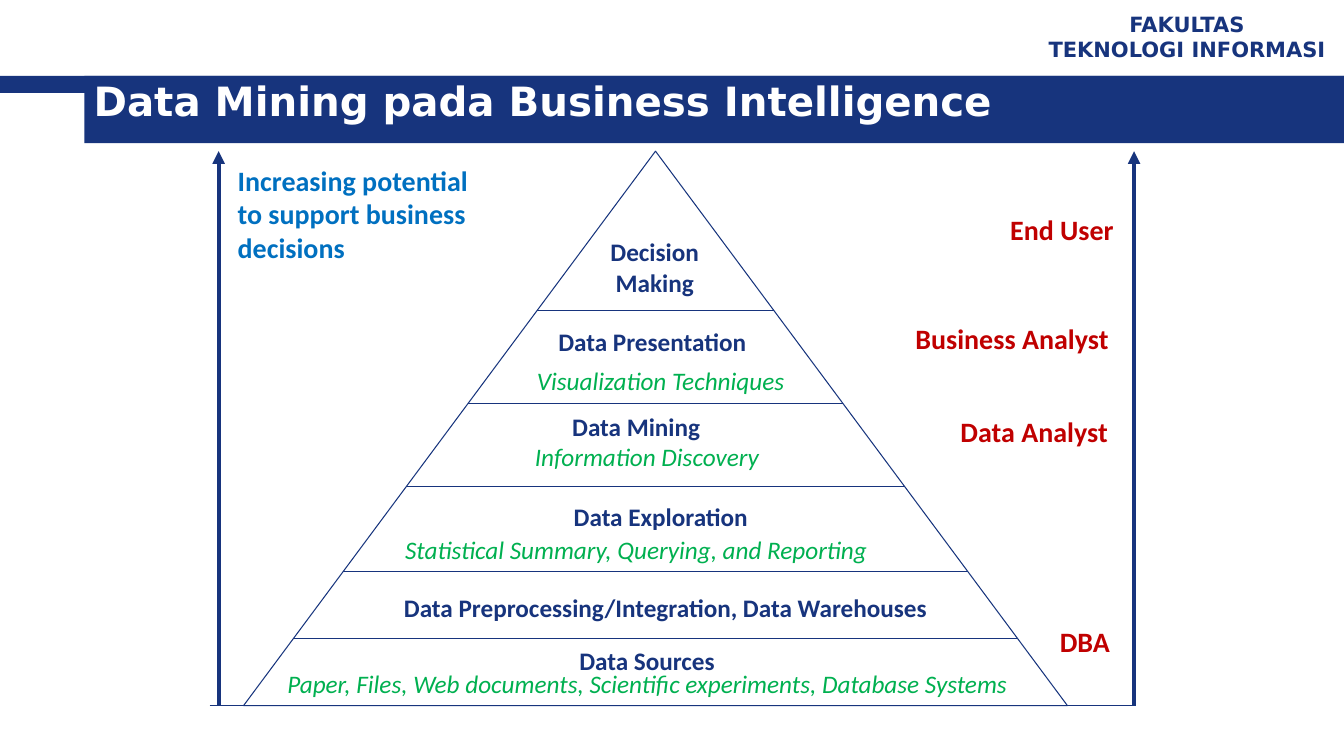
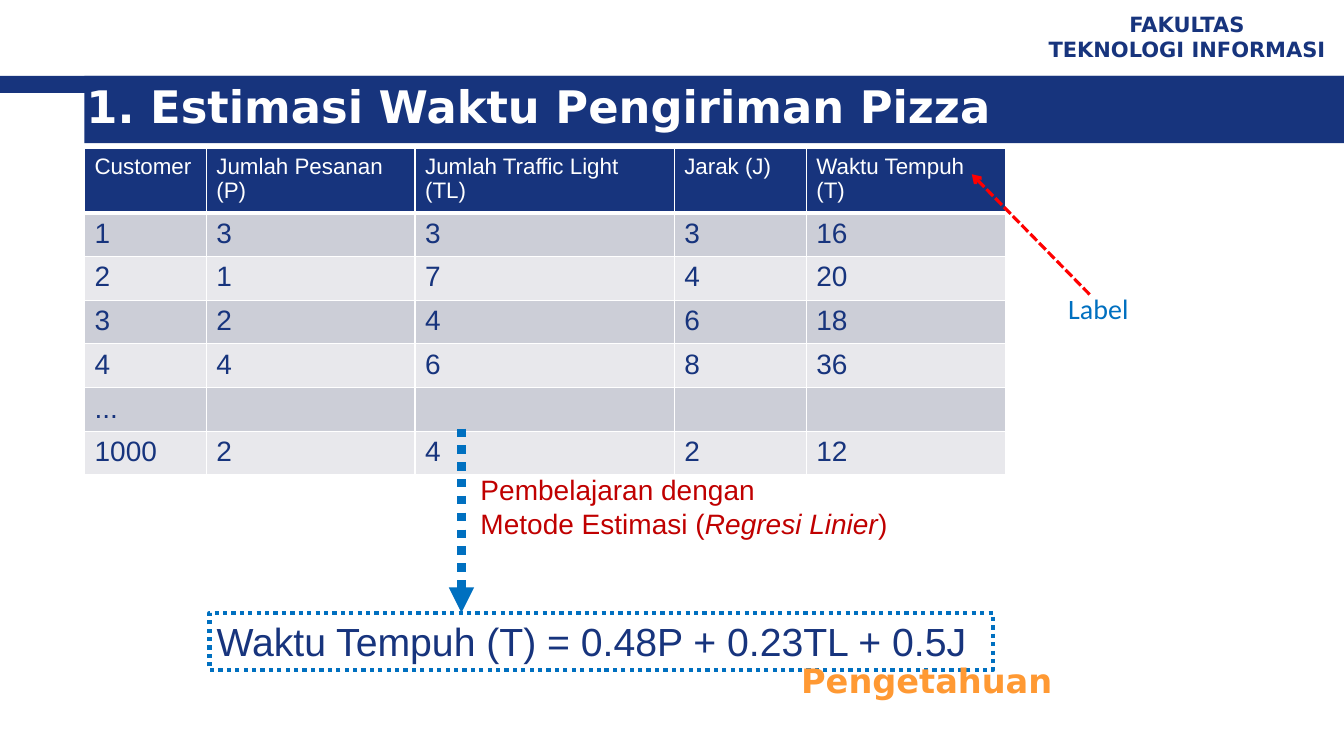
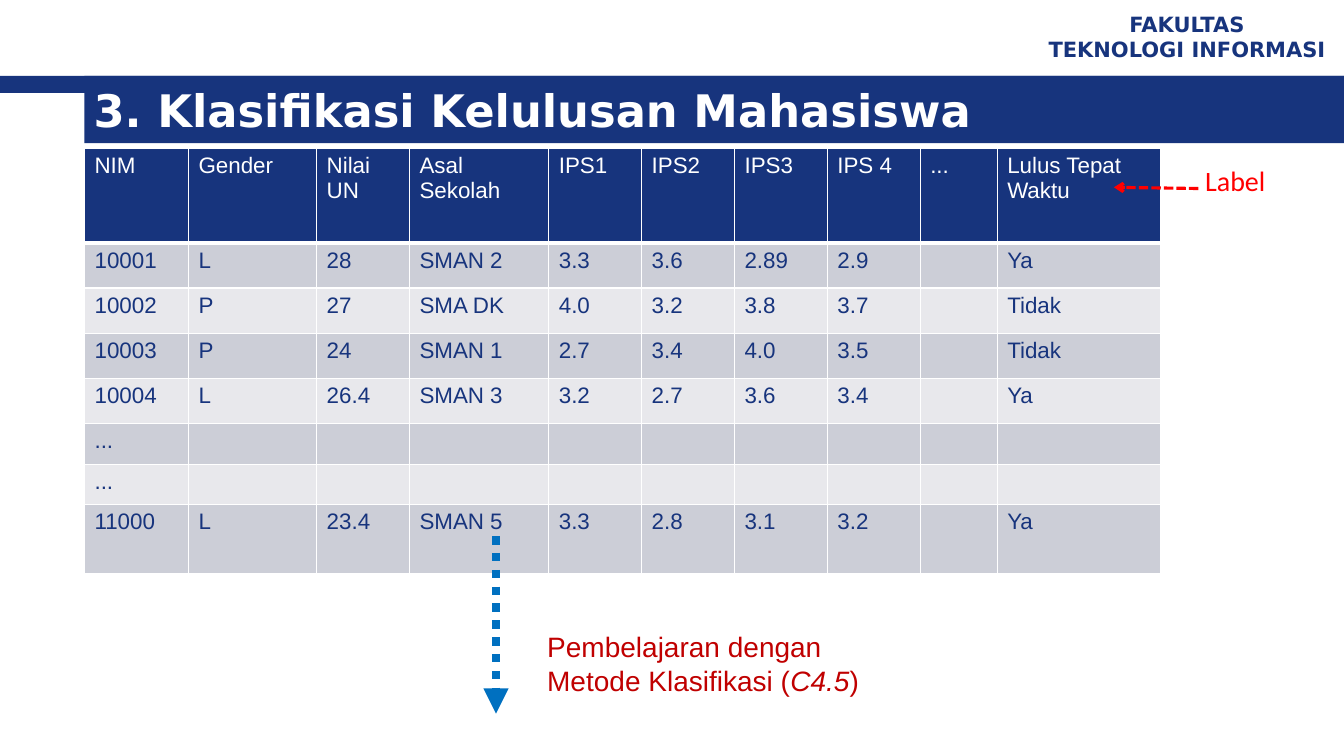
from lxml import etree
from pptx import Presentation
from pptx.dml.color import RGBColor
from pptx.enum.dml import MSO_LINE
from pptx.enum.shapes import MSO_CONNECTOR, MSO_SHAPE
from pptx.enum.text import MSO_ANCHOR, PP_ALIGN
from pptx.oxml.ns import qn
from pptx.util import Cm, Pt

RECT, PEAK = MSO_SHAPE.RECTANGLE, MSO_SHAPE.FLOWCHART_EXTRACT
LINE = MSO_CONNECTOR.STRAIGHT
DOT, DASH = MSO_LINE.ROUND_DOT, MSO_LINE.SQUARE_DOT
LEFT, MID, RIGHT = PP_ALIGN.LEFT, PP_ALIGN.CENTER, PP_ALIGN.RIGHT
TOP, CORE = MSO_ANCHOR.TOP, MSO_ANCHOR.MIDDLE

NAVY, BLUE, RED, GREEN = "17347D", "0070C0", "C00000", "00B050"
WHITE, ALERT, GOLD = "FFFFFF", "FF0000", "FF9933"
BANDS = "CCCED7", "E8E8EC"

# Text styles
HEAD = dict(name="DejaVu Sans", size=Pt(32), bold=True, color=WHITE)
LOGO = HEAD | dict(size=Pt(15), color=NAVY)
GAIN = HEAD | dict(size=Pt(24), color=GOLD)
ROLE = dict(name="Calibri", size=Pt(20), bold=True, color=RED)
AIM = ROLE | dict(color=BLUE)
STAGE = ROLE | dict(size=Pt(18), color=NAVY)
MEANS = STAGE | dict(bold=False, italic=True, color=GREEN)
TAG = ROLE | dict(bold=False, color=BLUE)
NOTE = dict(name="Arial", size=Pt(20), color=RED)
SUM = NOTE | dict(size=Pt(28), color=NAVY)
CELL = NOTE | dict(color=NAVY)
TOPROW = CELL | dict(size=Pt(16), color=WHITE)


def rgb(code):
    return RGBColor.from_string(code)


class Deck:
    def __init__(self):
        self.prs = Presentation()
        self.prs.slide_width, self.prs.slide_height = Cm(33.87), Cm(19.05)
        self.slide = None

    def new(self, title, box, **form):
        """Start a slide with the shared bands, faculty name and title."""
        self.slide = self.prs.slides.add_slide(self.prs.slide_layouts[6])
        self.shape(RECT, (0, 1.91, 33.87, 0.43), fill=NAVY)
        self.shape(RECT, (2.13, 1.91, 31.74, 1.7), fill=NAVY)
        self.text((25.98, 0.13, 7.87, 1.57),
                  ["FAKULTAS", "TEKNOLOGI INFORMASI"], LOGO, MID, CORE)
        self.text(box, [title], HEAD | form, LEFT, CORE)

    def run(self, para, text, form):
        run = para.add_run()
        run.text = text
        for key, val in form.items():
            if key == "color":
                run.font.color.rgb = rgb(val)
            else:
                setattr(run.font, key, val)

    def text(self, box, paras, form, align=LEFT, anchor=TOP):
        """Each paragraph is a string or a list of (text, italic) runs."""
        frame = self.slide.shapes.add_textbox(*map(Cm, box)).text_frame
        frame.word_wrap = True
        frame.vertical_anchor = anchor
        for i, runs in enumerate(paras):
            para = frame.add_paragraph() if i else frame.paragraphs[0]
            para.alignment = align
            if isinstance(runs, str):
                self.run(para, runs, form)
            else:
                for part, slant in runs:
                    self.run(para, part, form | dict(italic=slant))

    def shape(self, kind, box, fill=None, line=None, width=0.75, dash=None):
        item = self.slide.shapes.add_shape(kind, *map(Cm, box))
        item.shadow.inherit = False
        if fill:
            item.fill.solid()
            item.fill.fore_color.rgb = rgb(fill)
        else:
            item.fill.background()
        if line:
            self.pen(item.line, line, width, dash)
        else:
            item.line.fill.background()

    def pen(self, line, color, width, dash):
        line.color.rgb = rgb(color)
        line.width = Pt(width)
        if dash:
            line.dash_style = dash

    def line(self, ends, color=NAVY, width=0.75, dash=None, tip=None):
        item = self.slide.shapes.add_connector(LINE, *map(Cm, ends))
        self.pen(item.line, color, width, dash)
        props = item.element.spPr
        if tip:
            etree.SubElement(props.find(qn("a:ln")), qn("a:tailEnd"), type=tip)
        etree.SubElement(props, qn("a:effectLst"))

    def edge(self, cell, foot):
        props = cell._tc.get_or_add_tcPr()
        for i, side in enumerate("LRTB"):
            width = Pt(foot if side == "B" else 1)
            line = etree.Element(qn("a:ln" + side), w=str(width))
            fill = etree.SubElement(line, qn("a:solidFill"))
            etree.SubElement(fill, qn("a:srgbClr"), val=WHITE)
            props.insert(i, line)

    def table(self, spot, cols, highs, rows, form):
        size = sum(cols), sum(highs)
        grid = self.slide.shapes.add_table(
            len(rows), len(cols), *map(Cm, (*spot, *size))).table
        for col, wide in zip(grid.columns, cols):
            col.width = Cm(wide)
        for r, (row, high) in enumerate(zip(rows, highs)):
            grid.rows[r].height = Cm(high)
            for c in range(len(cols)):
                cell = grid.cell(r, c)
                cell.fill.solid()
                cell.fill.fore_color.rgb = rgb(BANDS[(r - 1) % 2] if r else NAVY)
                self.edge(cell, 1 if r else 3)
                if c < len(row) and row[c]:
                    self.run(cell.text_frame.paragraphs[0], row[c],
                             form if r else TOPROW)

    def learn(self, x, top, end, spot, means, name):
        """Dotted arrow out of the table, with the method beside it."""
        self.line((x, top, x, end), BLUE, 6, DOT, "triangle")
        self.text((*spot, 11.5, 1.96),
                  ["Pembelajaran dengan",
                   [(f"Metode {means} (", False), (name, True), (")", False)]],
                  NOTE)

    def label(self, spot, ends, color):
        self.text((*spot, 3.2, 1.12), ["Label"], TAG | dict(color=color))
        self.line(ends, ALERT, 2.25, DASH, "arrow")


def pyramid(deck):
    deck.new("Data Mining pada Business Intelligence",
             (2.11, 1.57, 23.44, 1.93), size=Pt(28.8))
    # Outline, with level lines as wide as the pyramid at their height
    top, base, mid, half = 3.81, 17.78, 16.52, 10.38
    deck.shape(PEAK, (mid - half, top, 2 * half, base - top), line=NAVY)
    for y in (16.08, 14.4, 12.27, 10.16, 7.82):
        reach = half * (y - top) / (base - top)
        deck.line((mid - reach, y, mid + reach, y))
    for x in (5.51, 28.58):
        deck.line((x, base, x, top), width=3, tip="triangle")
    deck.line((5.28, base, 28.58, base))
    # Sides
    deck.text((5.74, 3.99, 6.73, 2.82),
              ["Increasing potential", "to support business decisions"], AIM)
    for end, y, role in ((28.32, 5.23, "End User"),
                         (28.19, 7.98, "Business Analyst"),
                         (28.17, 10.31, "Data Analyst"),
                         (28.22, 15.6, "DBA")):
        deck.text((end - 7, y, 7, 1.12), [role], ROLE, RIGHT)
    # Levels
    for x, y, wide, words, form, align in (
            (14.81, 5.84, 3.38, "Decision Making", STAGE, MID),
            (13.82, 8.1, 5.6, "Data Presentation", STAGE, LEFT),
            (13.28, 9.09, 7, "Visualization Techniques", MEANS, LEFT),
            (14.17, 10.24, 4.95, "Data Mining", STAGE, LEFT),
            (13.23, 11, 6.8, "Information Discovery", MEANS, LEFT),
            (13.39, 12.5, 6.53, "Data Exploration", STAGE, MID),
            (9.96, 13.34, 12.7,
             "Statistical Summary, Querying, and Reporting", MEANS, LEFT),
            (9.93, 14.81, 14.2,
             "Data Preprocessing/Integration, Data Warehouses", STAGE, LEFT),
            (14.35, 16.13, 4.3, "Data Sources", STAGE, LEFT),
            (6.99, 16.71, 19.76, "Paper, Files, Web documents, Scientific "
             "experiments, Database Systems", MEANS, LEFT)):
        deck.text((x, y, wide, 1.02), [words], form, align)


def pizza(deck):
    deck.new("1. Estimasi Waktu Pengiriman Pizza", (1.93, 1.65, 23.65, 2.03))
    deck.table((2.13, 3.75), (3.07, 5.26, 6.53, 3.33, 5.03),
               [1.49] + [1.05] * 6,
               [("Customer", "Jumlah Pesanan (P)", "Jumlah Traffic Light (TL)",
                 "Jarak (J)", "Waktu Tempuh (T)"),
                ("1", "3", "3", "3", "16"),
                ("2", "1", "7", "4", "20"),
                ("3", "2", "4", "6", "18"),
                ("4", "4", "6", "8", "36"),
                ("...",),
                ("1000", "2", "4", "2", "12")], CELL)
    # Result
    deck.text((5.21, 15.42, 20.5, 1.45),
              ["Waktu Tempuh (T) = 0.48P + 0.23TL + 0.5J"], SUM)
    deck.shape(RECT, (5.28, 15.44, 19.74, 1.45), line=BLUE, width=3, dash=DOT)
    deck.text((19.94, 16.51, 7.2, 1.27), ["Pengetahuan"], GAIN)
    deck.learn(11.63, 10.8, 15.44, (11.86, 11.79), "Estimasi", "Regresi Linier")
    deck.label((26.67, 7.21), (27.46, 7.42, 24.49, 4.39), BLUE)


def degree(deck):
    deck.new("3. Klasifikasi Kelulusan Mahasiswa", (2.11, 1.83, 26.29, 1.85))
    deck.table((2.13, 3.73), [2.62, 3.23, 2.34, 3.51] + [2.34] * 4 + [1.94, 4.13],
               [2.39] + [1.14] * 4 + [1.02] * 2 + [1.75],
               [("NIM", "Gender", "Nilai UN", "Asal Sekolah", "IPS1", "IPS2",
                 "IPS3", "IPS 4", "...", "Lulus Tepat Waktu"),
                ("10001", "L", "28", "SMAN 2", "3.3", "3.6", "2.89", "2.9", "", "Ya"),
                ("10002", "P", "27", "SMA DK", "4.0", "3.2", "3.8", "3.7", "", "Tidak"),
                ("10003", "P", "24", "SMAN 1", "2.7", "3.4", "4.0", "3.5", "", "Tidak"),
                ("10004", "L", "26.4", "SMAN 3", "3.2", "2.7", "3.6", "3.4", "", "Ya"),
                ("...",),
                ("...",),
                ("11000", "L", "23.4", "SMAN 5", "3.3", "2.8", "3.1", "3.2", "", "Ya")],
               CELL | dict(size=Pt(16)))
    deck.learn(12.5, 13.51, 17.98, (13.54, 15.75), "Klasifikasi", "C4.5")
    deck.label((30.12, 3.99), (30.2, 4.75, 28.07, 4.72), ALERT)


def main():
    deck = Deck()
    for build in (pyramid, pizza, degree):
        build(deck)
    deck.prs.save("out.pptx")


if __name__ == "__main__":
    main()
